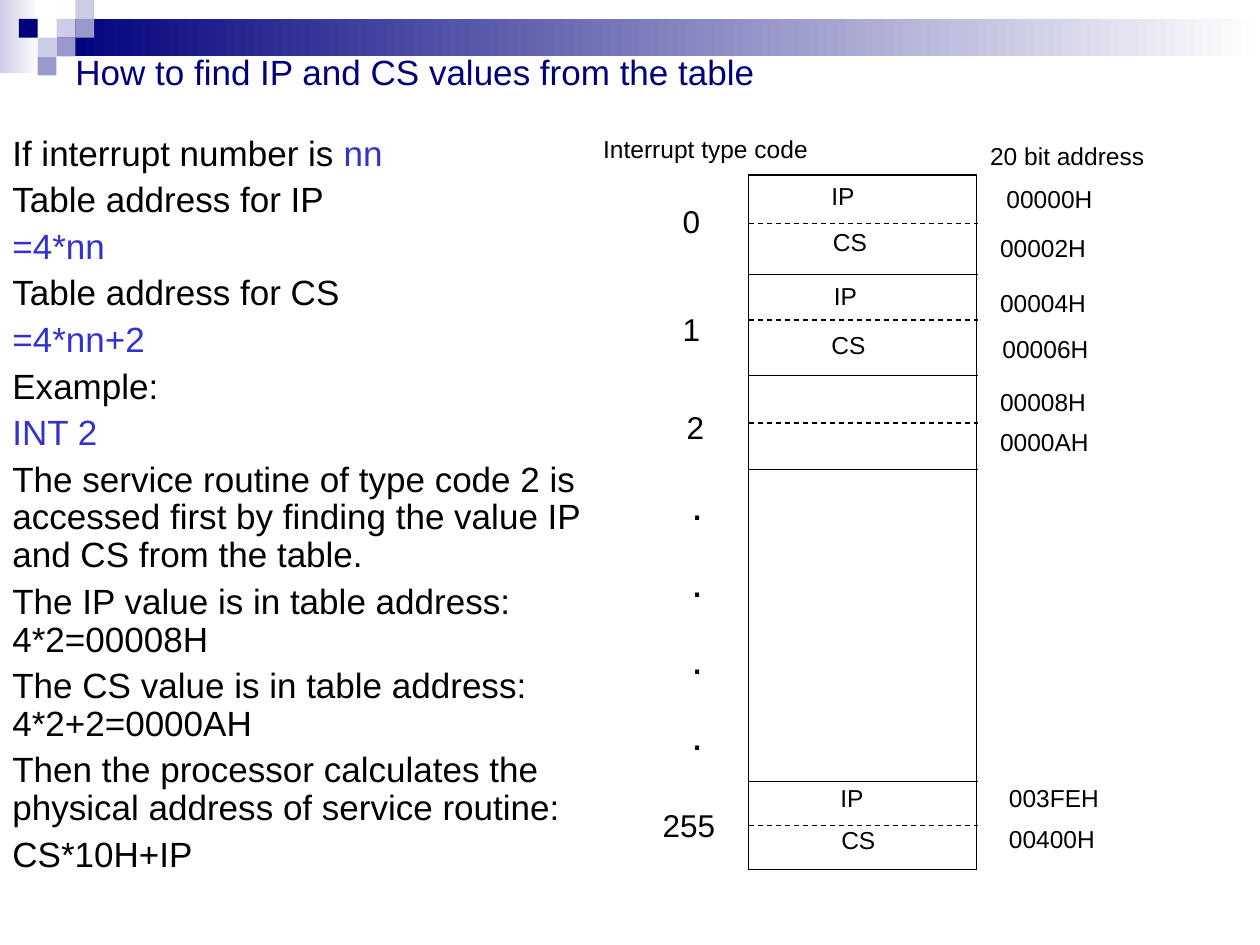
from pptx import Presentation
from pptx import util as u
from pptx.dml.color import RGBColor
from pptx.enum import dml, shapes, text
from pptx.oxml import xmlchemy as xml

NAVY = RGBColor(0x00, 0x00, 0x7D)
BLUE = RGBColor(0x33, 0x33, 0xCC)
PALE = RGBColor(0xCC, 0xCC, 0xE6)
LILAC = RGBColor(0x99, 0x99, 0xCC)
BLACK = RGBColor(0, 0, 0)
WHITE = RGBColor(255, 255, 255)

UNIT = 0.38
LEFT, RIGHT = 15.09, 19.71
SQUARES = [(3, 1, PALE), (4, 0, PALE), (4, 1, LILAC), (2, 2, PALE),
           (1, 1, NAVY), (3, 2, LILAC), (2, 3, LILAC)]
NOTES = [
    [("If interrupt number is ", BLACK), ("nn", BLUE)],
    [("Table address for IP", BLACK)],
    [("=4*nn", BLUE)],
    [("Table address for CS", BLACK)],
    [("=4*nn+2", BLUE)],
    [("Example:", BLACK)],
    [("INT 2", BLUE)],
    [("The service routine of type code 2 is accessed first by finding "
      "the value IP and CS from the table.", BLACK)],
    [("The IP value is in table address: 4*2=00008H", BLACK)],
    [("The CS value is in table address: 4*2+2=0000AH", BLACK)],
    [("Then the processor calculates the physical address of service routine:", BLACK)],
    [("CS*10H+IP", BLACK)],
]
RULES = [5.54, 7.57, 9.47, 15.75]
DASHES = [4.5, 6.45, 8.53, 16.64]
HEADS = [("Interrupt type code", 11.91, 2.57), ("20 bit address", 19.71, 2.72)]
CODES = [("0", 13.51, 3.94, 0.79), ("1", 13.51, 6.12, 0.86),
         ("2", 13.59, 8.1, 0.81), ("255", 13.11, 16.13, 1.6)]
CELLS = [("IP", 16.51, 3.53), ("CS", 16.54, 4.45), ("IP", 16.56, 5.54),
         ("CS", 16.51, 6.53), ("IP", 16.69, 15.67), ("CS", 16.71, 16.51)]
PLACES = [("00000H", 20.04, 3.58), ("00002H", 19.91, 4.57),
          ("00004H", 19.91, 5.69), ("00006H", 19.96, 6.6),
          ("00008H", 19.91, 7.67), ("0000AH", 19.91, 8.48),
          ("003FEH", 20.09, 15.67), ("00400H", 20.09, 16.48)]


class Page:
    """Hold the style and the current slide, and draw each kind of element."""

    def __init__(self, slide, face="Arial", weight=0.75):
        self.slide, self.face, self.weight = slide, face, weight

    def put(self, item, values):
        for name, value in values.items():
            setattr(item, name, value)

    def block(self, x, y, w, h, fill=None, fade=None):
        item = self.slide.shapes.add_shape(
            shapes.MSO_SHAPE.RECTANGLE, u.Cm(x), u.Cm(y), u.Cm(w), u.Cm(h))
        item.shadow.inherit = False
        if fade:
            item.fill.gradient()
            item.fill.gradient_angle = 0
            for stop, shade in zip(item.fill.gradient_stops, fade):
                stop.color.rgb = shade
        elif fill is not None:
            item.fill.solid()
            item.fill.fore_color.rgb = fill
        else:
            item.fill.background()
        if fade or fill is not None:
            item.line.fill.background()
        else:
            self.stroke(item.line)

    def stroke(self, line, dash=None):
        line.color.rgb = BLACK
        self.put(line, {"width": u.Pt(self.weight), "dash_style": dash})

    def rule(self, y, dash=None):
        item = self.slide.shapes.add_connector(
            shapes.MSO_CONNECTOR.STRAIGHT, u.Cm(LEFT), u.Cm(y), u.Cm(RIGHT), u.Cm(y))
        self.stroke(item.line, dash)
        props = item._element.spPr
        props.append(xml.OxmlElement("a:effectLst"))

    def words(self, paras, x, y, w, h, size, gap=0, lead=1.0, **form):
        box = self.slide.shapes.add_textbox(u.Cm(x), u.Cm(y), u.Cm(w), u.Cm(h))
        frame = box.text_frame
        self.put(frame, {"word_wrap": True, **form})
        for i, runs in enumerate(paras):
            para = frame.add_paragraph() if i else frame.paragraphs[0]
            self.put(para, {"line_spacing": lead, "space_before": u.Pt(gap if i else 0)})
            for words, shade in runs:
                run = para.add_run()
                run.text = words
                self.put(run.font, {"name": self.face, "size": u.Pt(size)})
                run.font.color.rgb = shade

    def label(self, words, x, y, w=5, size=14):
        self.words([[(words, BLACK)]], x, y, w, 0.86 if size == 14 else 1.02, size)


def main():
    deck = Presentation()
    deck.slide_width, deck.slide_height = u.Cm(25.4), u.Cm(19.05)
    page = Page(deck.slides.add_slide(deck.slide_layouts[6]))

    page.block(0, 0, 0.79, 1.47, fade=(PALE, WHITE))
    page.block(3 * UNIT, UNIT, 24.26, 2 * UNIT, fade=(NAVY, WHITE))
    for col, row, shade in SQUARES:
        page.block(col * UNIT, row * UNIT, UNIT, UNIT, shade)

    page.words([[("How to find IP and CS values from the table", NAVY)]],
               1.27, 0.71, 22.86, 1.45, 20, vertical_anchor=text.MSO_ANCHOR.MIDDLE)
    page.words(NOTES, 0, 2.62, 13.11, 15.72, 20, gap=5, lead=0.9)

    page.block(LEFT, 3.53, 4.6, 14)
    for y in RULES:
        page.rule(y)
    for y in DASHES:
        page.rule(y, dml.MSO_LINE.DASH)

    for head in HEADS + PLACES:
        page.label(*head)
    for cell in CELLS:
        page.label(*cell, w=1.6)
    for code in CODES:
        page.label(*code, size=18)
    page.words([[(".", BLACK)]] * 4, 13.69, 9.53, 0.81, 5.92, 24, gap=15)

    deck.save("out.pptx")


if __name__ == "__main__":
    main()
